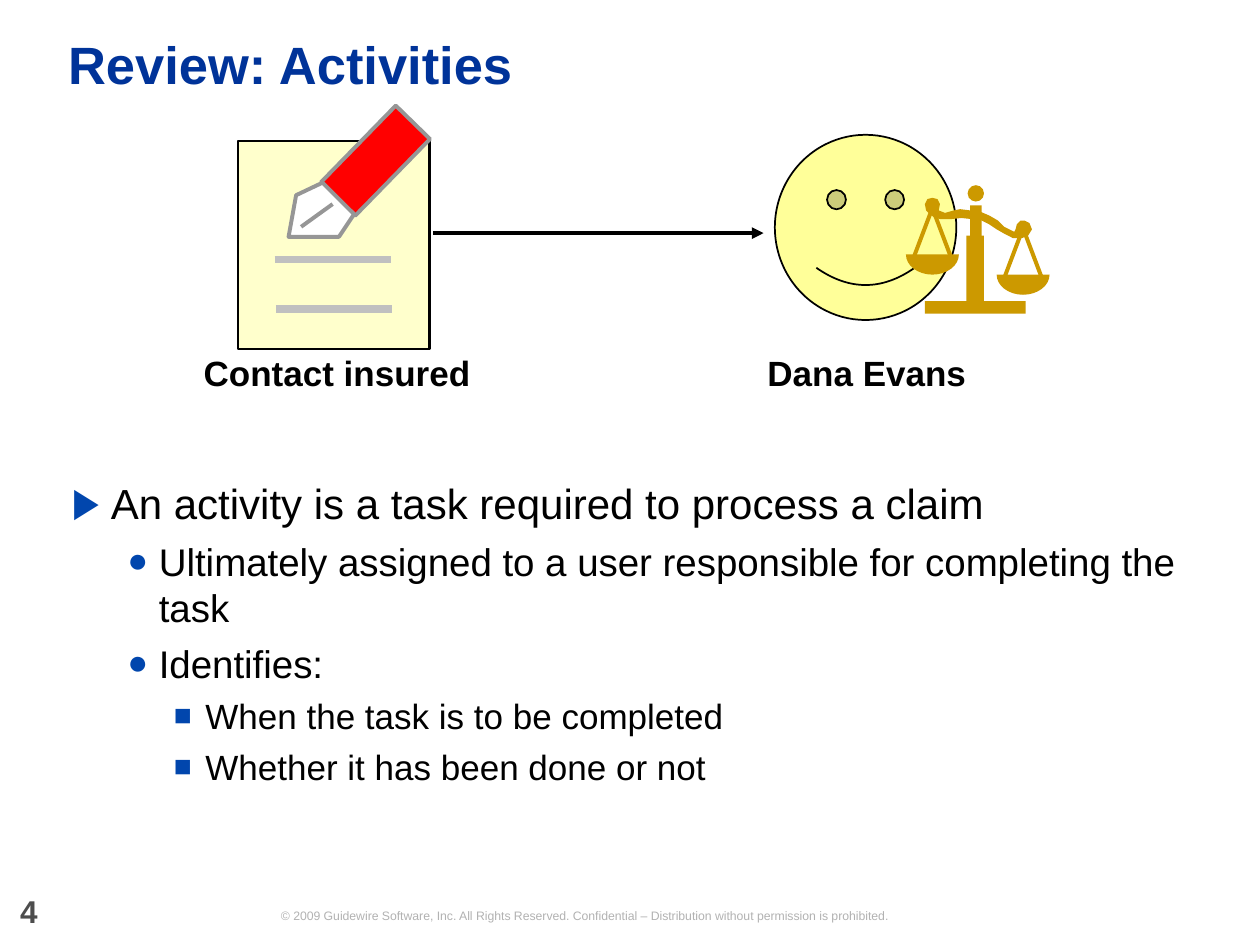
"""Build the activities review slide on a grid of 100 columns by 75 rows."""
import math

from lxml import etree
from pptx import Presentation
from pptx.dml.color import RGBColor
from pptx.enum.shapes import MSO_CONNECTOR, MSO_SHAPE
from pptx.enum.text import MSO_ANCHOR, MSO_AUTO_SIZE, PP_ALIGN
from pptx.oxml.ns import qn
from pptx.util import Inches, Pt

RECTANGLE, OVAL, SMILEY = MSO_SHAPE.RECTANGLE, MSO_SHAPE.OVAL, MSO_SHAPE.SMILEY_FACE
STRAIGHT = MSO_CONNECTOR.STRAIGHT
TOP, MIDDLE = MSO_ANCHOR.TOP, MSO_ANCHOR.MIDDLE
LEFT, CENTER = PP_ALIGN.LEFT, PP_ALIGN.CENTER
NO_AUTOFIT = MSO_AUTO_SIZE.NONE

BLACK = RGBColor(0x00, 0x00, 0x00)
WHITE = RGBColor(0xFF, 0xFF, 0xFF)
NAVY = RGBColor(0x00, 0x33, 0x99)
BULLET_BLUE = RGBColor(0x01, 0x46, 0xAD)
FACE_YELLOW = RGBColor(0xFF, 0xFF, 0x99)
PAPER_YELLOW = RGBColor(0xFF, 0xFF, 0xCC)
GOLD = RGBColor(0xCC, 0x99, 0x00)
RED = RGBColor(0xFF, 0x00, 0x00)
SILVER = RGBColor(0xC0, 0xC0, 0xC0)
PEN_GRAY = RGBColor(0x96, 0x96, 0x96)
FOOTER_GRAY = RGBColor(0xB2, 0xB2, 0xB2)
NUMBER_GRAY = RGBColor(0x4D, 0x4D, 0x4D)

FONT = "Arial"
WIDTH, HEIGHT = Inches(10), Inches(7.5)
COLUMNS, ROWS = 100, 75
SCALE_SHIFT = (7.2, 1.6)

LEVELS = [
    {"size": 24, "bullet": "▶", "percent": 100, "margin": 0.31, "hang": 0.31, "before": 0},
    {"size": 22, "bullet": "●", "percent": 90, "margin": 0.69, "hang": 0.25, "before": 5.5},
    {"size": 20, "bullet": "■", "percent": 85, "margin": 1.06, "hang": 0.25, "before": 5},
]
POINTS = [
    (0, "An activity is a task required to process a claim"),
    (1, "Ultimately assigned to a user responsible for completing the task"),
    (1, "Identifies:"),
    (2, "When the task is to be completed"),
    (2, "Whether it has been done or not"),
]
BEAM = [
    (81.9, 18.2), (81.7, 17.7), (81.3, 17.5), (81, 17.5), (80.7, 17.8), (80.6, 18.2),
    (80.5, 18.4), (80.1, 18.2), (79.7, 18), (79.2, 17.5), (78.5, 17.1), (77.8, 16.8),
    (77, 16.7), (76.2, 16.6), (75.7, 16.7), (75, 16.9), (74.5, 16.7), (74.6, 16.2),
    (74.4, 15.8), (74, 15.7), (73.6, 15.8), (73.4, 16.2), (73.5, 16.7), (73.8, 17),
    (74.2, 17.3), (74.7, 17.4), (75.4, 17.4), (76.3, 17.3), (77.2, 17.4), (77.9, 17.5),
    (78.5, 17.8), (79.1, 18.2), (79.8, 18.6), (80.4, 18.9), (81.1, 18.9), (81.6, 18.7),
]


def across(columns):
    """Return the length of a number of grid columns."""
    return round(WIDTH * columns / COLUMNS)


def down(rows):
    """Return the length of a number of grid rows."""
    return round(HEIGHT * rows / ROWS)


def place(left, top, width, height):
    """Return a grid box as lengths."""
    return across(left), down(top), across(width), down(height)


def style(shape, fill, line=None, weight=1):
    """Set the fill and outline of a shape."""
    shape.shadow.inherit = False
    shape.fill.solid()
    shape.fill.fore_color.rgb = fill
    if line is None:
        shape.line.fill.background()
    else:
        shape.line.color.rgb = line
        shape.line.width = Pt(weight)


def add_preset(shapes, kind, box, fill, line=None, weight=1):
    """Add a preset shape in a grid box."""
    shape = shapes.add_shape(kind, *place(*box))
    style(shape, fill, line, weight)
    return shape


def add_outline(shapes, points, fill, line=None, weight=1):
    """Add a closed polygon through grid points."""
    corners = [(across(x), down(y)) for x, y in points]
    builder = shapes.build_freeform(*corners[0])
    builder.add_line_segments(corners[1:], close=True)
    style(builder.convert_to_shape(), fill, line, weight)


def add_line(shapes, start, end, color, weight, arrow=False):
    """Add a straight line between grid points."""
    line = shapes.add_connector(
        STRAIGHT, across(start[0]), down(start[1]), across(end[0]), down(end[1]))
    line.line.color.rgb = color
    line.line.width = Pt(weight)
    properties = line.element.spPr
    if arrow:
        etree.SubElement(properties.find(qn("a:ln")), qn("a:tailEnd"), type="triangle")
    etree.SubElement(properties, qn("a:effectLst"))


def set_frame(shape, anchor):
    """Clear the margins of a text frame and return it."""
    frame = shape.text_frame
    frame.word_wrap = True
    frame.auto_size = NO_AUTOFIT
    frame.vertical_anchor = anchor
    frame.margin_left = frame.margin_top = frame.margin_right = frame.margin_bottom = 0
    return frame


def add_run(paragraph, text, size, color, bold=False):
    """Add a formatted run to a paragraph."""
    run = paragraph.add_run()
    run.text = text
    run.font.name = FONT
    run.font.size = Pt(size)
    run.font.bold = bold
    run.font.color.rgb = color


def add_label(shapes, box, text, size, color, bold=False, align=CENTER, anchor=TOP):
    """Add a one-line text box and return its paragraph."""
    frame = set_frame(shapes.add_textbox(*place(*box)), anchor)
    paragraph = frame.paragraphs[0]
    paragraph.alignment = align
    add_run(paragraph, text, size, color, bold)
    return paragraph


def move(placeholder, box):
    """Move a placeholder to a grid box."""
    placeholder.left, placeholder.top, placeholder.width, placeholder.height = place(*box)


def fill_title(title, text):
    """Write the slide title."""
    move(title, (5.4, 1.3, 91, 8.1))
    paragraph = set_frame(title, MIDDLE).paragraphs[0]
    paragraph.alignment = LEFT
    paragraph.line_spacing = 0.9
    add_run(paragraph, text, 30, NAVY, True)


def set_bullet(paragraph, level):
    """Give a paragraph the indent and bullet of its level."""
    properties = paragraph._p.get_or_add_pPr()
    properties.set("marL", str(Inches(level["margin"])))
    properties.set("indent", str(-Inches(level["hang"])))
    color = etree.SubElement(properties, qn("a:buClr"))
    etree.SubElement(color, qn("a:srgbClr"), val=str(BULLET_BLUE))
    etree.SubElement(properties, qn("a:buSzPct"), val=str(level["percent"] * 1000))
    etree.SubElement(properties, qn("a:buFont"), typeface=FONT)
    etree.SubElement(properties, qn("a:buChar"), char=level["bullet"])


def fill_body(body, points):
    """Write the bulleted list."""
    move(body, (5.7, 37.9, 91, 31.9))
    frame = set_frame(body, TOP)
    for index, (depth, text) in enumerate(points):
        paragraph = frame.add_paragraph() if index else frame.paragraphs[0]
        level = LEVELS[depth]
        paragraph.level = depth
        set_bullet(paragraph, level)
        paragraph.space_before = Pt(level["before"])
        add_run(paragraph, text, level["size"], BLACK)


def add_pan(shapes, shift_x, shift_y):
    """Add one hanging pan of the scales with its two strings."""
    center, rim = 74 + shift_x, 20.2 + shift_y
    angles = [math.pi * step / 16 for step in range(17)]
    bowl = [(center + 2.1 * math.cos(a), rim + 1.6 * math.sin(a)) for a in angles]
    add_outline(shapes, bowl, GOLD)
    for side in (-1, 1):
        string = [(-1.3, 0.2), (0.1, -3.5), (-0.2, -3.6), (-1.6, 0.1)]
        add_outline(shapes, [(center - side * x, rim + y) for x, y in string], GOLD)


def add_adjuster(shapes):
    """Add the smiling user holding the scales."""
    add_preset(shapes, SMILEY, (61.5, 10.7, 14.4, 14.7), FACE_YELLOW, BLACK)
    add_outline(shapes, BEAM, GOLD)
    for shift in ((0, 0), SCALE_SHIFT):
        add_pan(shapes, *shift)
    for box in ((77, 16.3, 0.9, 3.4), (76.7, 18.7, 1.4, 5.5), (73.4, 23.9, 8, 1)):
        add_preset(shapes, RECTANGLE, box, GOLD)
    add_preset(shapes, OVAL, (76.8, 14.7, 1.3, 1.3), GOLD)


def add_activity(shapes):
    """Add the written note with its pen."""
    add_preset(shapes, RECTANGLE, (18.9, 11.2, 15.2, 16.5), PAPER_YELLOW, BLACK, 1.5)
    for left, top in ((21.9, 24.5), (21.8, 20.6)):
        add_line(shapes, (left, top), (left + 9.2, top), SILVER, 4.5)
    barrel = add_preset(shapes, RECTANGLE, (27.9, 8.5, 3.8, 8.5), RED, PEN_GRAY, 2.25)
    barrel.rotation = 44.3
    nib = [(25.6, 14.5), (23.5, 15.5), (22.9, 18.8), (26.9, 18.8), (28.1, 17)]
    add_outline(shapes, nib, WHITE, PEN_GRAY, 2.25)
    add_line(shapes, (26.4, 16.2), (23.9, 18), PEN_GRAY, 2.25)


def main():
    """Build and save the slide."""
    presentation = Presentation()
    presentation.slide_width, presentation.slide_height = WIDTH, HEIGHT
    slide = presentation.slides.add_slide(presentation.slide_layouts[1])
    shapes = slide.shapes
    add_label(shapes, (11.9, 72.1, 69, 1.2),
              "© 2009 Guidewire Software, Inc. All Rights Reserved. Confidential – "
              "Distribution without permission is prohibited.",
              7, FOOTER_GRAY, anchor=MIDDLE)
    number = add_label(shapes, (1.6, 71.3, 5.7, 2.5), "4", 18, NUMBER_GRAY, True, LEFT)
    number.line_spacing = Pt(18)
    add_adjuster(shapes.add_group_shape().shapes)
    fill_title(shapes.title, "Review: Activities")
    fill_body(slide.placeholders[1], POINTS)
    add_activity(shapes.add_group_shape().shapes)
    add_label(shapes, (12.9, 27.9, 27.7, 3.3), "Contact insured", 20, BLACK, True)
    add_label(shapes, (58.6, 27.9, 20.4, 3.3), "Dana Evans", 20, BLACK, True)
    add_line(shapes, (34.4, 18.5), (60.6, 18.5), BLACK, 2.25, arrow=True)
    presentation.save("out.pptx")


if __name__ == "__main__":
    main()
